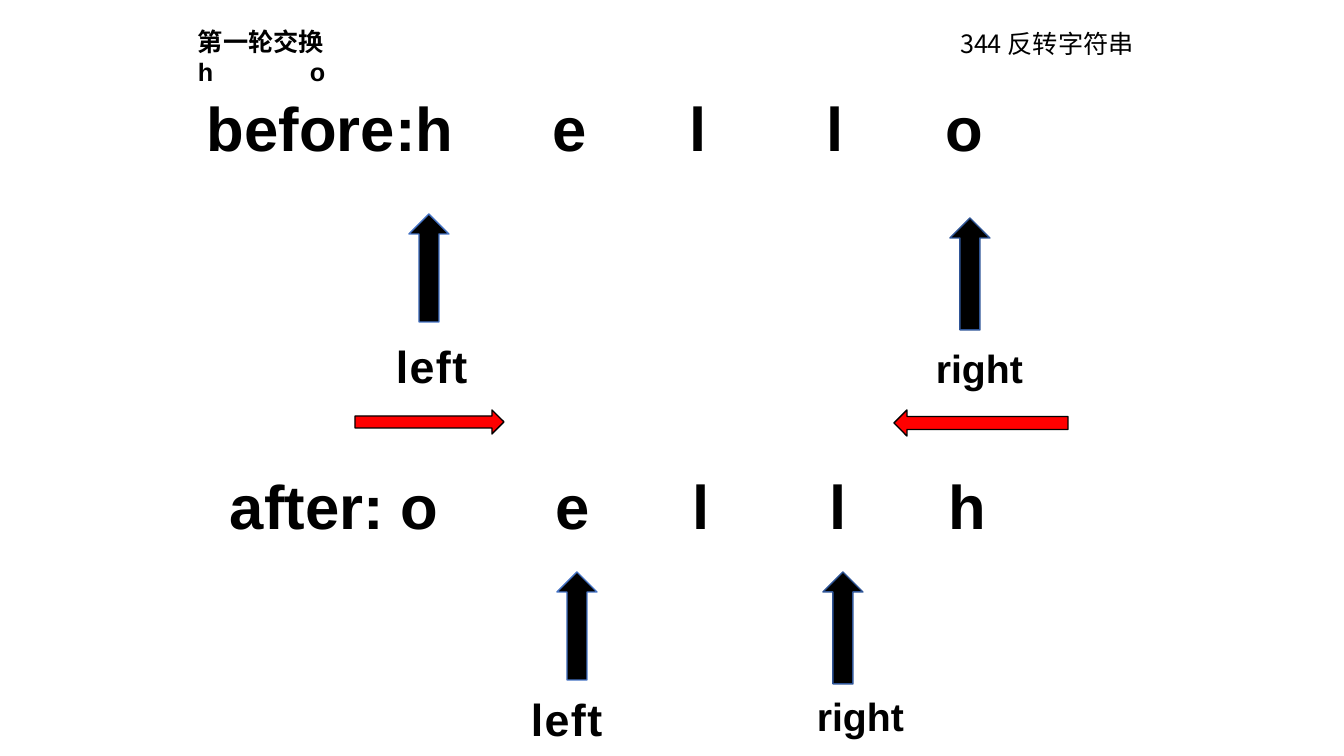
from lxml.etree import SubElement
from pptx import Presentation
from pptx.dml.color import RGBColor
from pptx.enum.shapes import MSO_SHAPE
from pptx.enum.text import MSO_ANCHOR, MSO_AUTO_SIZE, PP_ALIGN
from pptx.oxml.ns import qn
from pptx.util import Pt

PX = 12192000 / 1344
COLORS = {
    "black": "000000",
    "red": "FF0000",
    "left_edge": "4472C4",
    "right_edge": "2F5597",
}


def px(*lengths):
    return [round(length * PX) for length in lengths]


def write(box, text, size, font="Arial", bold=True, tabs=(), spacing=0):
    """Fill a box with text; tabs are px from the text's left edge, spacing is in points."""
    frame = box.text_frame
    frame.word_wrap = True
    frame.auto_size = MSO_AUTO_SIZE.NONE
    frame.vertical_anchor = MSO_ANCHOR.TOP
    frame.text = text
    for paragraph in frame.paragraphs:
        paragraph.alignment = PP_ALIGN.LEFT
        if tabs:
            stops = SubElement(paragraph._p.get_or_add_pPr(), qn("a:tabLst"))
            for position in px(*tabs):
                SubElement(stops, qn("a:tab"), pos=str(position), algn="l")
        for run in paragraph.runs:
            run.font.size = Pt(size)
            run.font.bold = bold
            run.font.name = font
            run.font.color.rgb = RGBColor.from_string(COLORS["black"])
            properties = run._r.get_or_add_rPr()
            SubElement(properties, qn("a:ea"), typeface="Noto Sans CJK SC")
            if spacing:
                properties.set("spc", str(spacing * 100))


presentation = Presentation()
presentation.slide_width, presentation.slide_height = px(1344, 756)
slide = presentation.slides.add_slide(presentation.slide_layouts[5])
shapes = slide.shapes

problem = shapes.title
problem.left, problem.top, problem.width, problem.height = px(950, 23, 380, 40)
write(problem, "344 反转字符串", 18, font="Noto Sans CJK SC", bold=False)

swap_round = shapes.add_textbox(*px(188, 21, 156, 74))
write(swap_round, "第一轮交换\nh\to", 18, tabs=[112])

# The letters of both words share their columns, apart from the label's own start.
letter_stops = [346, 483, 620, 739]
for word, left, top, width, shift in [
    ("before:h\te\tl\tl\to", 197, 85, 840, 0),
    ("after: o\te\tl\tl\th", 220, 463, 859, 20),
]:
    stops = [stop - shift for stop in letter_stops]
    write(shapes.add_textbox(*px(left, top, width, 85)), word, 44, tabs=stops)

for pointer, left, top, width in [
    ("left", 386, 334, 149),
    ("right", 926, 339, 118),
    ("left", 521, 687, 113),
    ("right", 807, 687, 118),
]:
    size, height, spacing = (32, 65, 1) if pointer == "left" else (28, 57, 0)
    label = shapes.add_textbox(*px(left, top, width, height))
    write(label, pointer, size, spacing=spacing)

for direction, left, top, width, height, fill, edge in [
    (MSO_SHAPE.UP_ARROW, 409, 214, 40, 108, "black", "left_edge"),
    (MSO_SHAPE.UP_ARROW, 950, 218, 40, 112, "black", "right_edge"),
    (MSO_SHAPE.UP_ARROW, 557, 572, 40, 108, "black", "left_edge"),
    (MSO_SHAPE.UP_ARROW, 823, 572, 40, 112, "black", "right_edge"),
    (MSO_SHAPE.RIGHT_ARROW, 355, 410, 149, 24, "red", "black"),
    (MSO_SHAPE.LEFT_ARROW, 894, 410, 174, 26, "red", "black"),
]:
    arrow = shapes.add_shape(direction, *px(left, top, width, height))
    arrow.shadow.inherit = False
    arrow.fill.solid()
    arrow.fill.fore_color.rgb = RGBColor.from_string(COLORS[fill])
    arrow.line.color.rgb = RGBColor.from_string(COLORS[edge])
    arrow.line.width = Pt(1)

presentation.save("out.pptx")
